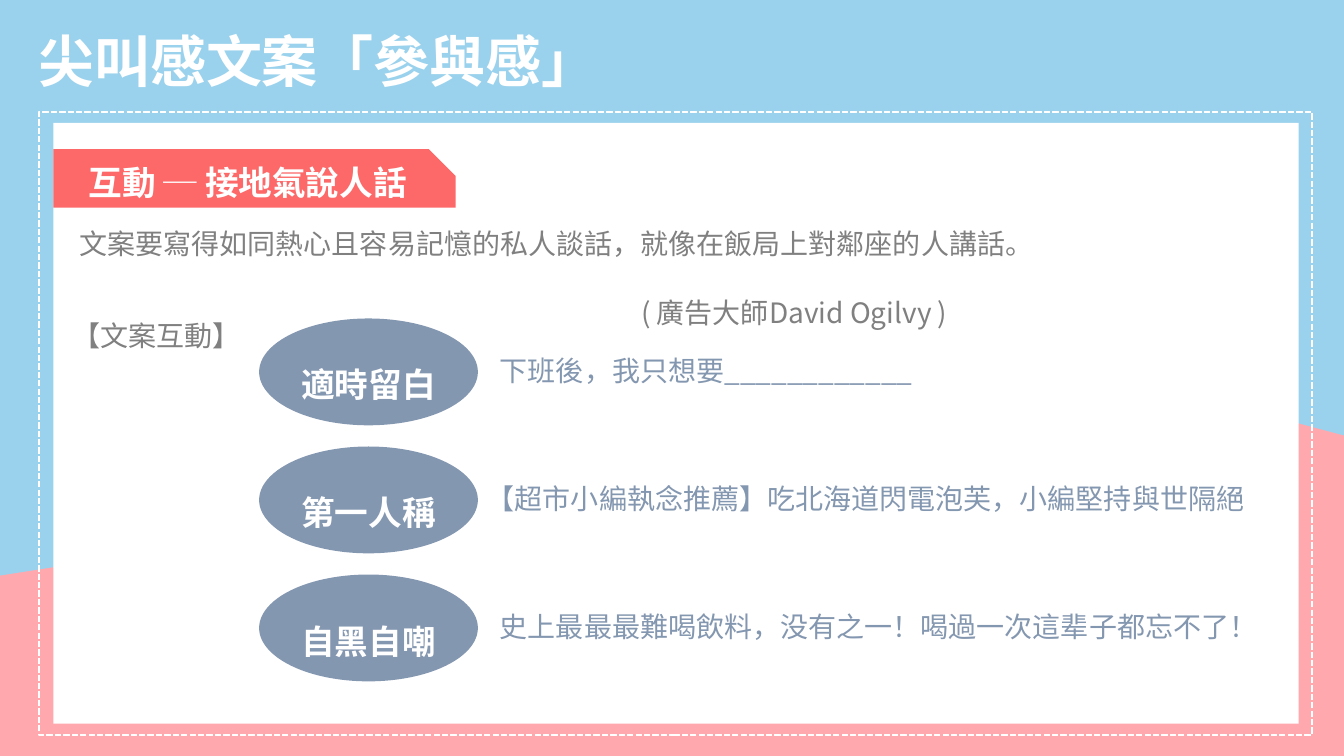
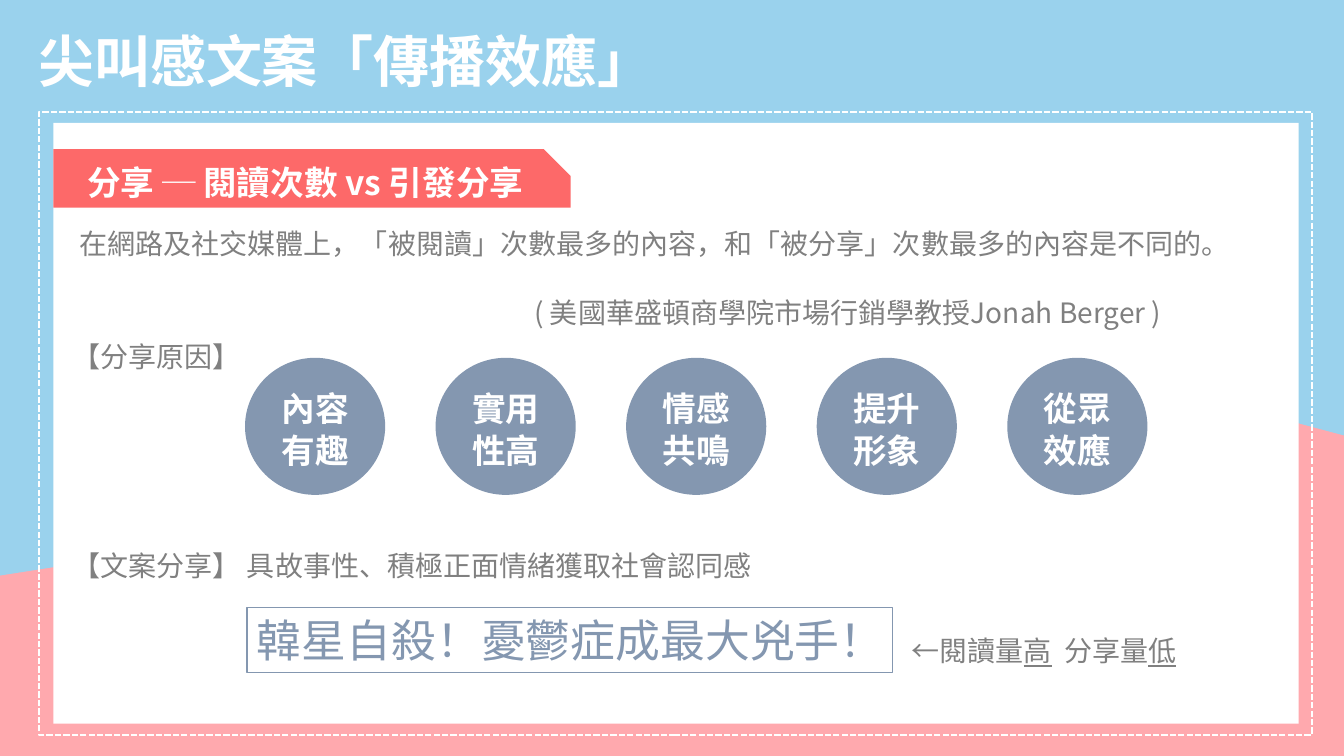
from lxml import etree
from pptx import Presentation
from pptx.dml.color import RGBColor
from pptx.enum import dml, shapes, text
from pptx.oxml.ns import qn
from pptx.util import Inches, Pt

FONT = "Noto Sans CJK SC"
HUES = {"sky": "9AD2ED", "pink": "FFA9AE", "red": "FD6969",
        "slate": "8497B0", "gray": "808080", "white": "FFFFFF"}
SKY = [(0, 0), (13.33, 0), (13.33, 4.32), (11.68, 3.88), (0, 5.71)]
KIND = shapes.MSO_SHAPE

TALK = {
    "title": "尖叫感文案「參與感」",
    "band": ("互動 ─ 接地氣說人話", 3.99),
    "quote": "文案要寫得如同熱心且容易記憶的私人談話，就像在飯局上對鄰座的人講話。",
    "source": ("( 廣告大師David Ogilvy )", 6.26),
    "labels": [("【文案互動】", 3.11)],
}
WAYS = [
    ("適時留白", "下班後，我只想要____________", 4.86),
    ("第一人稱", "【超市小編執念推薦】吃北海道閃電泡芙，小編堅持與世隔絕", 4.73),
    ("自黑自嘲", "史上最最最難喝飲料，没有之一！喝過一次這辈子都忘不了！", 4.86),
]
SHARE = {
    "title": "尖叫感文案「傳播效應」",
    "band": ("分享 ─ 閱讀次數 vs 引發分享", 5.13),
    "quote": "在網路及社交媒體上，「被閱讀」次數最多的內容，和「被分享」次數最多的內容是不同的。",
    "source": ("( 美國華盛頓商學院市場行銷學教授Jonah Berger )", 5.2),
    "labels": [("【分享原因】", 3.32),
               ("【文案分享】 具故事性、積極正面情緒獲取社會認同感", 5.39)],
}
CAUSES = ["內容有趣", "實用性高", "情感共鳴", "提升形象", "從眾效應"]
HEAD = "韓星自殺！憂鬱症成最大兇手！"
NOTE = [("←閱讀量", False), ("高", True), ("  分享量", False), ("低", True)]


def hue(name):
    return RGBColor.from_string(HUES[name])


def style(par, size, color, bold=False):
    font = par.font
    font.size, font.bold, font.name = Pt(size), bold, FONT
    font.color.rgb = hue(color)
    base = par._p.pPr.find(qn("a:defRPr"))
    etree.SubElement(base, qn("a:ea")).set("typeface", FONT)


def write(slide, words, x, y, w, h=0.44, size=20, color="gray", bold=False):
    box = slide.shapes.add_textbox(*map(Inches, (x, y, w, h)))
    frame = box.text_frame
    frame.word_wrap = True
    frame.auto_size = text.MSO_AUTO_SIZE.SHAPE_TO_FIT_TEXT
    par = frame.paragraphs[0]
    for part, under in [(words, False)] if isinstance(words, str) else words:
        run = par.add_run()
        run.text = part
        if under:
            run.font.underline = True
    style(par, size, color, bold)
    return box


def paint(item, fill):
    item.shadow.inherit = False
    item.line.fill.background()
    if fill:
        item.fill.solid()
        item.fill.fore_color.rgb = hue(fill)
    else:
        item.fill.background()
    return item


def shape(slide, kind, x, y, w, h, fill=None):
    return paint(slide.shapes.add_shape(kind, *map(Inches, (x, y, w, h))), fill)


def label(item, words, gap):
    frame = item.text_frame
    frame.word_wrap = True
    frame.vertical_anchor = text.MSO_ANCHOR.BOTTOM
    par = frame.paragraphs[0]
    par.text = words
    par.alignment = text.PP_ALIGN.CENTER
    par.line_spacing = gap
    style(par, 24, "white", True)


def frame_page(deck, page):
    slide = deck.slides.add_slide(deck.slide_layouts[6])
    shape(slide, KIND.RECTANGLE, 0, 3.62, 13.33, 3.88, "pink")
    pts = [(Inches(x), Inches(y)) for x, y in SKY]
    path = slide.shapes.build_freeform(*pts[0])
    path.add_line_segments(pts[1:], close=True)
    paint(path.convert_to_shape(), "sky")
    edge = shape(slide, KIND.RECTANGLE, 0.39, 1.11, 12.62, 6.18)
    edge.line.color.rgb = hue("white")
    edge.line.width = Pt(1.5)
    edge.line.dash_style = dml.MSO_LINE.SQUARE_DOT
    shape(slide, KIND.RECTANGLE, 0.53, 1.22, 12.35, 5.96, "white")

    write(slide, page["title"], 0.28, 0.21, 6.41, 0.77, 40, "white", True)
    words, width = page["band"]
    band = shape(slide, KIND.SNIP_1_RECTANGLE, 0.53, 1.48, width, 0.58, "red")
    band.adjustments[0] = 0.46
    label(band, words, Pt(30))
    write(slide, page["quote"], 0.69, 2.2, 12.2)
    words, left = page["source"]
    write(slide, words, left, 2.88, 12.88 - left)
    for words, top in page["labels"]:
        write(slide, words, 0.62, top, 12.37)
    return slide


def main():
    deck = Presentation()
    deck.slide_width, deck.slide_height = Inches(13.33), Inches(7.5)

    slide = frame_page(deck, TALK)
    for i, (way, words, left) in enumerate(WAYS):
        top = 3.16 + 1.27 * i
        label(shape(slide, KIND.OVAL, 2.57, top, 2.17, 1.06, "slate"), way, 2.0)
        write(slide, words, left, top + 0.3, 8.02, color="slate")

    slide = frame_page(deck, SHARE)
    for i, cause in enumerate(CAUSES):
        disc = shape(slide, KIND.OVAL, 2.43 + 1.89 * i, 3.55, 1.39, 1.36, "slate")
        label(disc, cause, Pt(30))
    head = write(slide, HEAD, 2.45, 6.03, 6.4, 0.64, 32, "slate")
    head.line.color.rgb = hue("slate")
    head.line.width = Pt(0.75)
    write(slide, NOTE, 8.94, 6.24, 3.18)

    deck.save("out.pptx")


if __name__ == "__main__":
    main()
